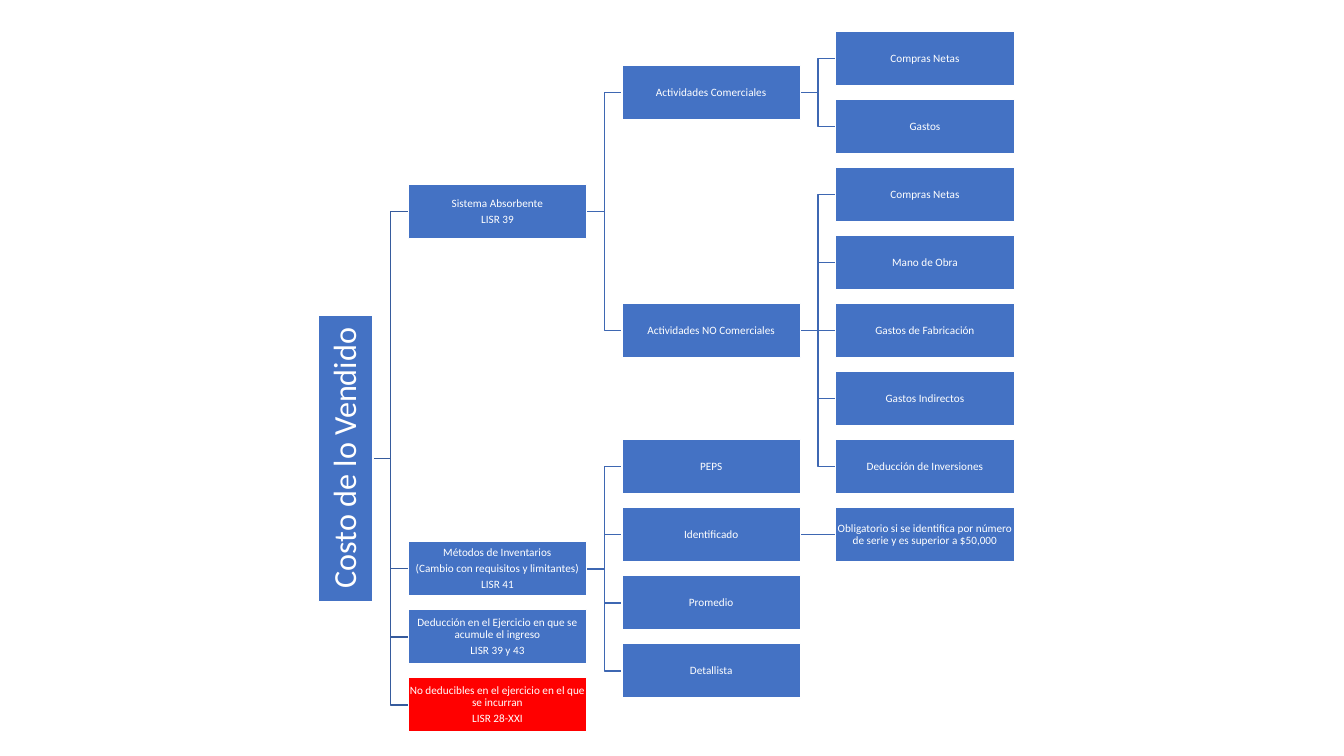
from dataclasses import dataclass

from pptx import Presentation
from pptx.dml.color import RGBColor
from pptx.enum.shapes import MSO_CONNECTOR, MSO_SHAPE
from pptx.enum.text import MSO_ANCHOR, PP_ALIGN
from pptx.oxml.xmlchemy import OxmlElement
from pptx.util import Pt

BLUE, RED, WHITE = "4472C4", "FF0000", "FFFFFF"
ROOT_LINK, BRANCH_LINK = "365B9D", "3E67B2"
BOX_WIDTH, BOX_HEIGHT, ROOT_LENGTH = 127.5, 38.9, 204.5
COLUMN_GAP, ROW_PITCH = 25.2, 48.6
TREE_LEFT, FIRST_ROW = 227.5, 41.8


@dataclass
class Node:
    """One box of the tree, with a row of its own only when it has no span of children."""

    lines: list
    children: tuple = ()
    row: float = 0
    fill: str = BLUE

    def middle(self):
        """Return the row halfway between the first and the last child."""
        if not self.children:
            return self.row
        return (self.children[0].middle() + self.children[-1].middle()) / 2


def leaves(labels, first):
    """Return one leaf per label on consecutive rows."""
    return tuple(Node([label], row=first + i) for i, label in enumerate(labels))


def cost_tree():
    """Return the whole hierarchy of the cost of sales."""
    trade = Node(["Actividades Comerciales"], leaves(["Compras Netas", "Gastos"], 0))
    other = Node(["Actividades NO Comerciales"], leaves(
        ["Compras Netas", "Mano de Obra", "Gastos de Fabricación",
         "Gastos Indirectos", "Deducción de Inversiones"], 2))
    identified = Node(["Identificado"], leaves(
        ["Obligatorio si se identifica por número de serie y es superior a $50,000"], 7))
    methods = (*leaves(["PEPS"], 6), identified, *leaves(["Promedio", "Detallista"], 8))
    return Node(["Costo de lo Vendido"], (
        Node(["Sistema Absorbente", "LISR 39"], (trade, other)),
        Node(["Métodos de Inventarios", "(Cambio con requisitos y limitantes)", "LISR 41"],
             methods),
        Node(["Deducción en el Ejercicio en que se acumule el ingreso", "LISR 39 y 43"],
             row=8.5),
        Node(["No deducibles en el ejercicio en el que se incurran", "LISR 28-XXI"],
             row=9.5, fill=RED),
    ))


def color(value):
    """Turn a hex string into a colour."""
    return RGBColor.from_string(value)


def apply(target, values):
    """Set each attribute of the target from a dict."""
    for name, value in values.items():
        setattr(target, name, value)


def draw_link(page, left, top, bottom, tint):
    """Draw a link across the column gap, stepped when the two heights differ."""
    right, bend = left + COLUMN_GAP, left + COLUMN_GAP / 2
    if abs(top - bottom) < 0.01:
        link = page.shapes.add_connector(
            MSO_CONNECTOR.STRAIGHT, Pt(left), Pt(top), Pt(right), Pt(bottom))
        link.element.spPr.append(OxmlElement("a:effectLst"))
    else:
        outline = page.shapes.build_freeform(Pt(left), Pt(top))
        corners = [(bend, top), (bend, bottom), (right, bottom)]
        outline.add_line_segments([(Pt(x), Pt(y)) for x, y in corners], close=False)
        link = outline.convert_to_shape()
        link.fill.background()
        link.shadow.inherit = False
    link.line.color.rgb = color(tint)
    link.line.width = Pt(1)


def draw_box(page, node, center_x, center_y, width, size, inset, rotation=0):
    """Draw a filled box with centred text around the given centre."""
    box = page.shapes.add_shape(
        MSO_SHAPE.RECTANGLE, Pt(center_x - width / 2), Pt(center_y - BOX_HEIGHT / 2),
        Pt(width), Pt(BOX_HEIGHT))
    box.rotation = rotation
    box.shadow.inherit = False
    box.fill.solid()
    box.fill.fore_color.rgb = color(node.fill)
    box.line.color.rgb = color(WHITE)
    box.line.width = Pt(1)
    frame = box.text_frame
    sides = ("left", "right", "top", "bottom")
    apply(frame, {f"margin_{side}": Pt(inset) for side in sides})
    apply(frame, {"word_wrap": True, "vertical_anchor": MSO_ANCHOR.MIDDLE})
    for i, line in enumerate(node.lines):
        para = frame.add_paragraph() if i else frame.paragraphs[0]
        apply(para, {"alignment": PP_ALIGN.CENTER, "line_spacing": 0.9,
                     "space_after": Pt(size * 0.35)})
        span = para.add_run()
        span.text = line
        apply(span.font, {"name": "Calibri", "size": Pt(size)})
        span.font.color.rgb = color(WHITE)


def draw_branch(page, node, left, top, level=0):
    """Draw the links, then the box, then the children of a node."""
    width = BOX_WIDTH if level else BOX_HEIGHT
    right = left + width
    center_y = top + node.middle() * ROW_PITCH
    for child in node.children:
        draw_link(page, right, center_y, top + child.middle() * ROW_PITCH,
                  BRANCH_LINK if level else ROOT_LINK)
    if level:
        draw_box(page, node, left + width / 2, center_y, width, 8, 0.4)
    else:
        draw_box(page, node, left + width / 2, center_y, ROOT_LENGTH, 23, 1.2, 270)
    for child in node.children:
        draw_branch(page, child, right + COLUMN_GAP, top, level + 1)


def main():
    """Build the slide and save it."""
    deck = Presentation()
    apply(deck, {"slide_width": Pt(960), "slide_height": Pt(540)})
    page = deck.slides.add_slide(deck.slide_layouts[6])
    draw_branch(page, cost_tree(), TREE_LEFT, FIRST_ROW)
    deck.save("out.pptx")


if __name__ == "__main__":
    main()
